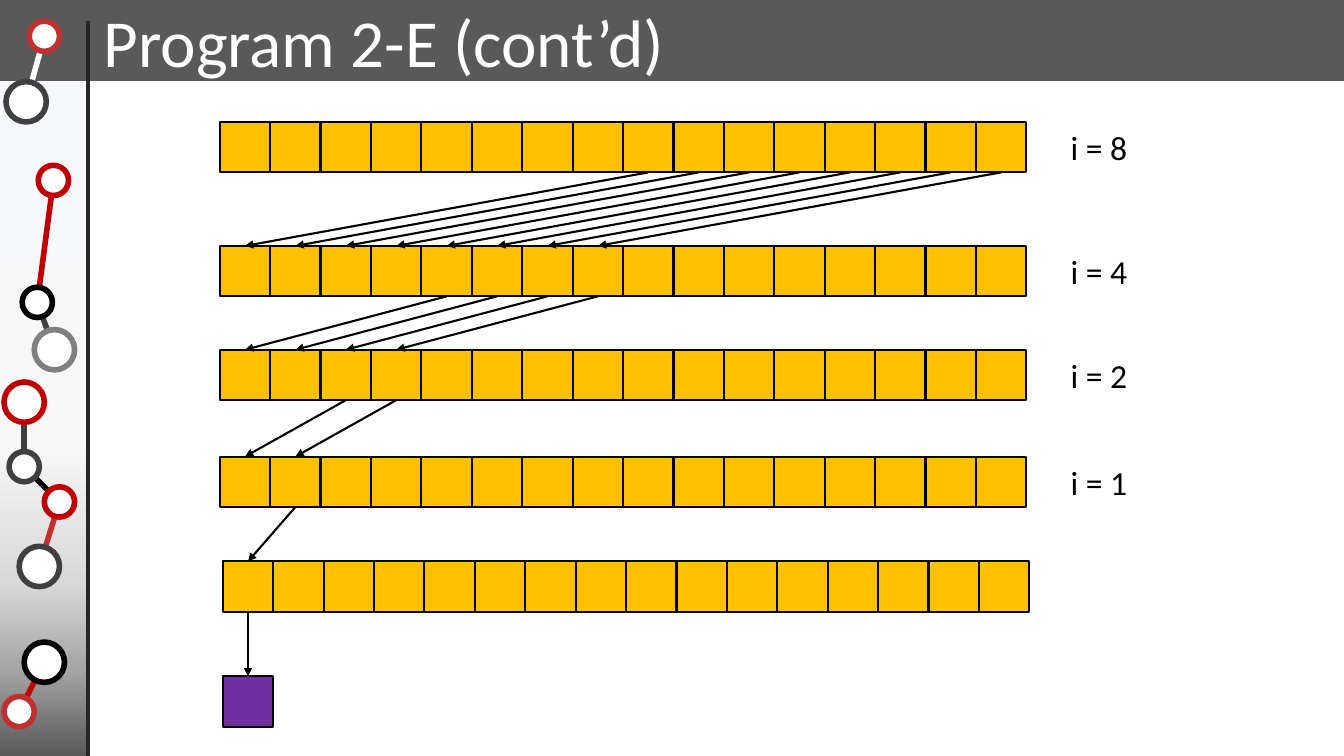
from dataclasses import dataclass
from typing import Optional

from pptx import Presentation
from pptx.dml.color import RGBColor
from pptx.enum.shapes import MSO_CONNECTOR as Connector, MSO_SHAPE as Preset
from pptx.enum.text import MSO_AUTO_SIZE as AutoSize
from pptx.oxml.ns import qn
from pptx.oxml.xmlchemy import OxmlElement
from pptx.shapes.autoshape import Shape
from pptx.shapes.connector import Connector as Line
from pptx.slide import Slide
from pptx.util import Inches, Pt


@dataclass(frozen=True)
class Theme:
    font: str = "Calibri"
    title_size: float = 48
    label_size: float = 24
    cell_line: float = 1.5
    tree_line: float = 4
    divider_line: float = 3
    white: str = "FFFFFF"
    black: str = "000000"
    header: str = "595959"
    divider: str = "262626"
    dark: str = "404040"
    gray: str = "808080"
    red: str = "C00000"
    soft_red: str = "C03030"
    cell: str = "FFC000"
    result: str = "7030A0"
    sidebar: tuple[tuple[int, str], ...] = (
        (0, "F6F8FC"), (53, "F8F8F8"), (74, "D9D9D9"), (87, "A6A6A6"), (100, "595959"))


@dataclass(frozen=True)
class Node:
    x: float
    y: float
    diameter: float
    color: str


@dataclass(frozen=True)
class Link:
    start: str
    end: str
    color: str


@dataclass(frozen=True)
class ArrayRow:
    left: float
    top: float
    stride: Optional[int] = None


THEME = Theme()
CELL = 0.5
CELL_COUNT = 16
LABEL_LEFT = 10.52
SMALL, LARGE = 0.3, 0.4

NODES = {
    "a": Node(0.44, 0.36, SMALL, THEME.soft_red),
    "b": Node(0.26, 1.01, LARGE, THEME.dark),
    "c": Node(0.53, 1.79, SMALL, THEME.red),
    "d": Node(0.37, 3.0, SMALL, THEME.black),
    "e": Node(0.54, 3.47, LARGE, THEME.gray),
    "f": Node(0.24, 3.99, LARGE, THEME.red),
    "g": Node(0.24, 4.63, SMALL, THEME.dark),
    "h": Node(0.59, 4.98, SMALL, THEME.red),
    "i": Node(0.39, 5.62, LARGE, THEME.dark),
    "j": Node(0.44, 6.57, LARGE, THEME.black),
    "k": Node(0.19, 7.06, SMALL, THEME.soft_red),
}
LINKS = [
    Link("a", "b", THEME.white),
    Link("c", "d", THEME.red),
    Link("d", "e", THEME.dark),
    Link("f", "g", THEME.dark),
    Link("g", "h", THEME.black),
    Link("h", "i", THEME.soft_red),
    Link("j", "k", THEME.red),
]
ROWS = [
    ArrayRow(2.18, 1.21, 8),
    ArrayRow(2.18, 2.44, 4),
    ArrayRow(2.18, 3.47, 2),
    ArrayRow(2.18, 4.53, 1),
    ArrayRow(2.21, 5.57),
]


def add_box(slide: Slide, preset: Preset, left: float, top: float, width: float,
            height: float, *, fill: Optional[str] = None, line: Optional[str] = None,
            line_width: float = 1) -> Shape:
    shape = slide.shapes.add_shape(
        preset, Inches(left), Inches(top), Inches(width), Inches(height))
    shape.shadow.inherit = False
    if fill:
        shape.fill.solid()
        shape.fill.fore_color.rgb = RGBColor.from_string(fill)
    if line:
        shape.line.color.rgb = RGBColor.from_string(line)
        shape.line.width = Pt(line_width)
    else:
        shape.line.fill.background()
    return shape


def add_line(slide: Slide, start: tuple[float, float], end: tuple[float, float], *,
             color: str, width: float) -> Line:
    line = slide.shapes.add_connector(
        Connector.STRAIGHT, Inches(start[0]), Inches(start[1]), Inches(end[0]), Inches(end[1]))
    line.line.color.rgb = RGBColor.from_string(color)
    line.line.width = Pt(width)
    line._element.spPr.append(OxmlElement("a:effectLst"))
    return line


def add_arrow(slide: Slide, source: Shape, target: Shape) -> None:
    """Join the bottom of the source cell to the top of the target cell."""
    arrow = add_line(slide, (0, 0), (1, 1), color=THEME.black, width=THEME.cell_line)
    arrow.begin_connect(source, 2)
    arrow.end_connect(target, 0)
    head = OxmlElement("a:tailEnd")
    head.set("type", "triangle")
    arrow.line._get_or_add_ln().append(head)


def add_text(slide: Slide, text: str, left: float, top: float, width: float, height: float,
             *, size: float, color: str) -> None:
    box = slide.shapes.add_textbox(Inches(left), Inches(top), Inches(width), Inches(height))
    box.text_frame.word_wrap = False
    box.text_frame.auto_size = AutoSize.SHAPE_TO_FIT_TEXT
    run = box.text_frame.paragraphs[0].add_run()
    run.text = text
    run.font.name = THEME.font
    run.font.size = Pt(size)
    run.font.color.rgb = RGBColor.from_string(color)


def add_sidebar(slide: Slide) -> None:
    sidebar = add_box(slide, Preset.RECTANGLE, 0, 0.81, 0.87, 6.69)
    sidebar.fill.gradient()
    sidebar.fill.gradient_angle = 270
    stops = sidebar._element.spPr.find(qn("a:gradFill")).find(qn("a:gsLst"))
    for stop in list(stops):
        stops.remove(stop)
    for percent, color in THEME.sidebar:
        stop = OxmlElement("a:gs")
        stop.set("pos", str(percent * 1000))
        shade = OxmlElement("a:srgbClr")
        shade.set("val", color)
        stop.append(shade)
        stops.append(stop)


def add_tree(slide: Slide) -> None:
    for link in LINKS:
        start, end = NODES[link.start], NODES[link.end]
        add_line(slide, (start.x, start.y), (end.x, end.y),
                 color=link.color, width=THEME.tree_line)
    for node in NODES.values():
        add_box(slide, Preset.OVAL, node.x - node.diameter / 2, node.y - node.diameter / 2,
                node.diameter, node.diameter, fill=THEME.white, line=node.color,
                line_width=THEME.tree_line)


def add_cell(slide: Slide, left: float, top: float, fill: str) -> Shape:
    return add_box(slide, Preset.RECTANGLE, left, top, CELL, CELL, fill=fill,
                   line=THEME.black, line_width=THEME.cell_line)


def add_reduction(slide: Slide) -> None:
    """Draw the arrays, the folding arrows between them and the final value."""
    cells = [[add_cell(slide, row.left + column * CELL, row.top, THEME.cell)
              for column in range(CELL_COUNT)] for row in ROWS]
    result = add_cell(slide, ROWS[-1].left, 6.71, THEME.result)
    for row, sources, targets in zip(ROWS, cells, cells[1:]):
        for column in range(row.stride):
            add_arrow(slide, sources[column + row.stride], targets[column])
        add_text(slide, f"i = {row.stride}", LABEL_LEFT, row.top, 0.77, 0.5,
                 size=THEME.label_size, color=THEME.black)
    add_arrow(slide, cells[-1][0], result)


def main() -> None:
    presentation = Presentation()
    presentation.slide_width, presentation.slide_height = Inches(13.33), Inches(7.5)
    slide = presentation.slides.add_slide(presentation.slide_layouts[6])
    add_sidebar(slide)
    add_box(slide, Preset.RECTANGLE, 0, 0, 13.33, 0.8, fill=THEME.header, line=THEME.header)
    add_tree(slide)
    add_line(slide, (0.87, 0.21), (0.87, 7.5), color=THEME.divider, width=THEME.divider_line)
    add_text(slide, "Program 2-E (cont’d)", 0.93, -0.05, 5.82, 0.91,
             size=THEME.title_size, color=THEME.white)
    add_reduction(slide)
    presentation.save("out.pptx")


if __name__ == "__main__":
    main()
